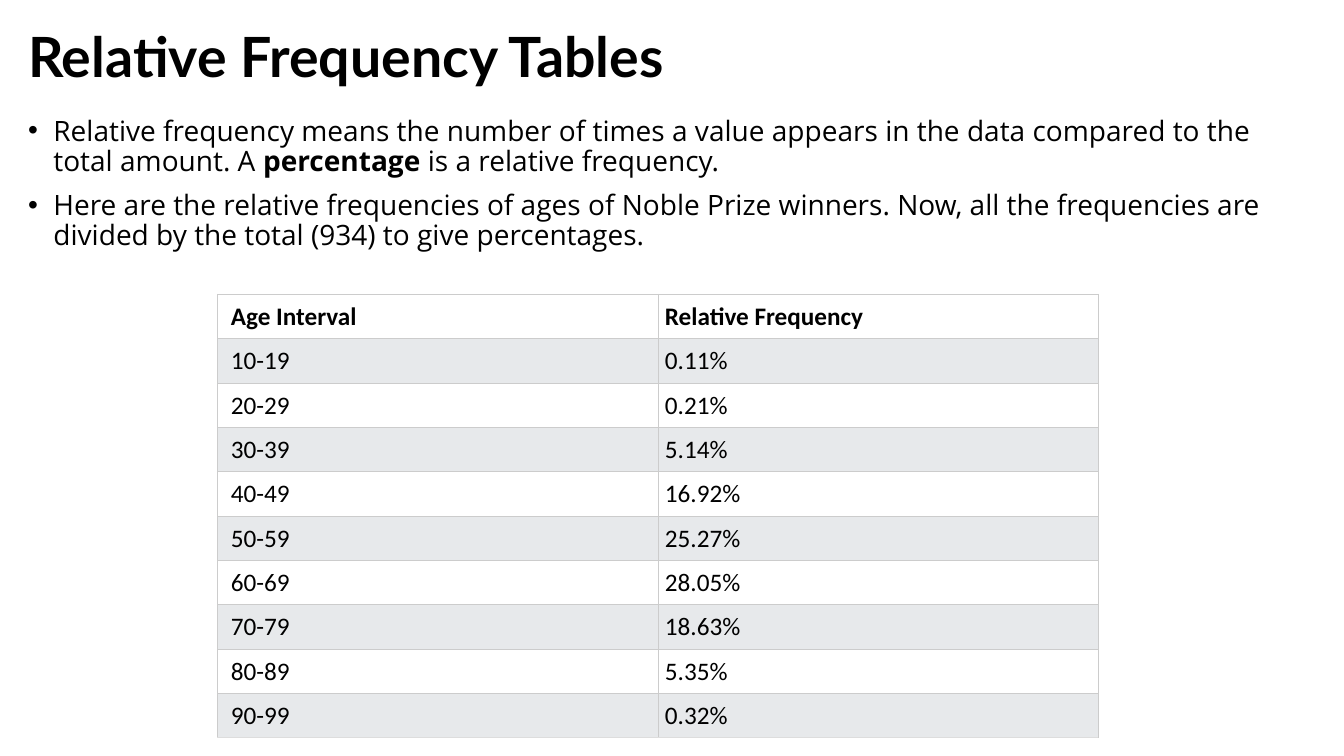
from lxml.etree import SubElement
from pptx import Presentation
from pptx.dml.color import RGBColor
from pptx.enum.text import MSO_ANCHOR, MSO_AUTO_SIZE, PP_ALIGN
from pptx.oxml.ns import qn
from pptx.util import Inches, Pt

BLACK, WHITE, GREY = "000000", "FFFFFF", "E7E9EB"
BORDER, BOTTOM_BORDER = "CCCCCC", "DDDDDD"
TITLE = "Relative Frequency Tables"
# Each bullet is a list of (text, bold) spans.
BULLETS = [
    [("Relative frequency means the number of times a value appears in the "
      "data compared to the total amount. A\u00a0", False),
     ("percentage", True),
     ("\u00a0is a relative frequency.", False)],
    [("Here are the relative frequencies of ages of Noble Prize winners. Now, "
      "all the frequencies are divided by the total (934) to give "
      "percentages.", False)],
]
FREQUENCIES = [
    ("Age Interval", "Relative Frequency"),
    ("10-19", "0.11%"),
    ("20-29", "0.21%"),
    ("30-39", "5.14%"),
    ("40-49", "16.92%"),
    ("50-59", "25.27%"),
    ("60-69", "28.05%"),
    ("70-79", "18.63%"),
    ("80-89", "5.35%"),
    ("90-99", "0.32%"),
]


def color(hex_code):
    """Turn a hex string into a colour."""
    return RGBColor.from_string(hex_code)


def set_font(font, name, size, bold=None):
    """Format a font in black."""
    font.name, font.size, font.bold = name, Pt(size), bold
    font.color.rgb = color(BLACK)


def place(box, left, top, width, height):
    """Move and size a placeholder and keep its text size fixed."""
    box.left, box.top = Inches(left), Inches(top)
    box.width, box.height = Inches(width), Inches(height)
    box.text_frame.auto_size = MSO_AUTO_SIZE.NONE


def add_title(page):
    """Fill the title placeholder."""
    box = page.shapes.title
    place(box, 0.18, 0.23, 12.98, 0.73)
    box.text_frame.text = TITLE
    box.text_frame.vertical_anchor = MSO_ANCHOR.MIDDLE
    para = box.text_frame.paragraphs[0]
    para.alignment = PP_ALIGN.LEFT
    para.line_spacing = 0.9
    set_font(para.font, "Lato", 39.6, True)


def add_bullets(page):
    """Fill the body placeholder with the bulleted list."""
    box = page.placeholders[1]
    place(box, 0.18, 1.11, 12.98, 6.25)
    frame = box.text_frame
    for index, spans in enumerate(BULLETS):
        para = frame.add_paragraph() if index else frame.paragraphs[0]
        para.line_spacing = 0.9
        para.space_before = Pt(10)
        set_font(para.font, "Open Sans", 20)
        properties = para._p.get_or_add_pPr()
        properties.set("marL", str(Inches(0.25)))
        properties.set("indent", str(Inches(-0.25)))
        for text, bold in spans:
            span = para.add_run()
            span.text, span.font.bold = text, bold


def set_borders(cell, bottom):
    """Draw thin lines on the four sides of a cell."""
    properties = cell._tc.get_or_add_tcPr()
    sides = {"lnL": BORDER, "lnR": BORDER, "lnT": BORDER, "lnB": bottom}
    for side, hex_code in sides.items():
        line = SubElement(properties, qn(f"a:{side}"), w=str(Pt(0.6)))
        fill = SubElement(line, qn("a:solidFill"))
        SubElement(fill, qn("a:srgbClr"), val=hex_code)


def fill_cell(cell, text, column, row):
    """Write and format one cell of the table."""
    cell.text = text
    cell.margin_left = Inches(0.07 if column else 0.13)
    cell.margin_right = cell.margin_top = Inches(0.07)
    cell.margin_bottom = Inches(0.06)
    set_font(cell.text_frame.paragraphs[0].font, "Calibri", 18, row == 0)
    last = row == len(FREQUENCIES) - 1
    set_borders(cell, BOTTOM_BORDER if last else BORDER)
    cell.fill.solid()
    cell.fill.fore_color.rgb = color(GREY if row % 2 else WHITE)


def add_frequency_table(page):
    """Add the table of ages and relative frequencies."""
    rows = len(FREQUENCIES)
    table = page.shapes.add_table(
        rows, 2, Inches(2.16), Inches(2.92),
        Inches(8.73), Inches(0.44 * rows)).table
    for row, values in enumerate(FREQUENCIES):
        for column, text in enumerate(values):
            fill_cell(table.cell(row, column), text, column, row)


def main():
    """Build the deck and save it."""
    deck = Presentation()
    deck.slide_width, deck.slide_height = Inches(13.33), Inches(7.5)
    page = deck.slides.add_slide(deck.slide_layouts[1])
    add_title(page)
    add_bullets(page)
    add_frequency_table(page)
    deck.save("out.pptx")


main()
